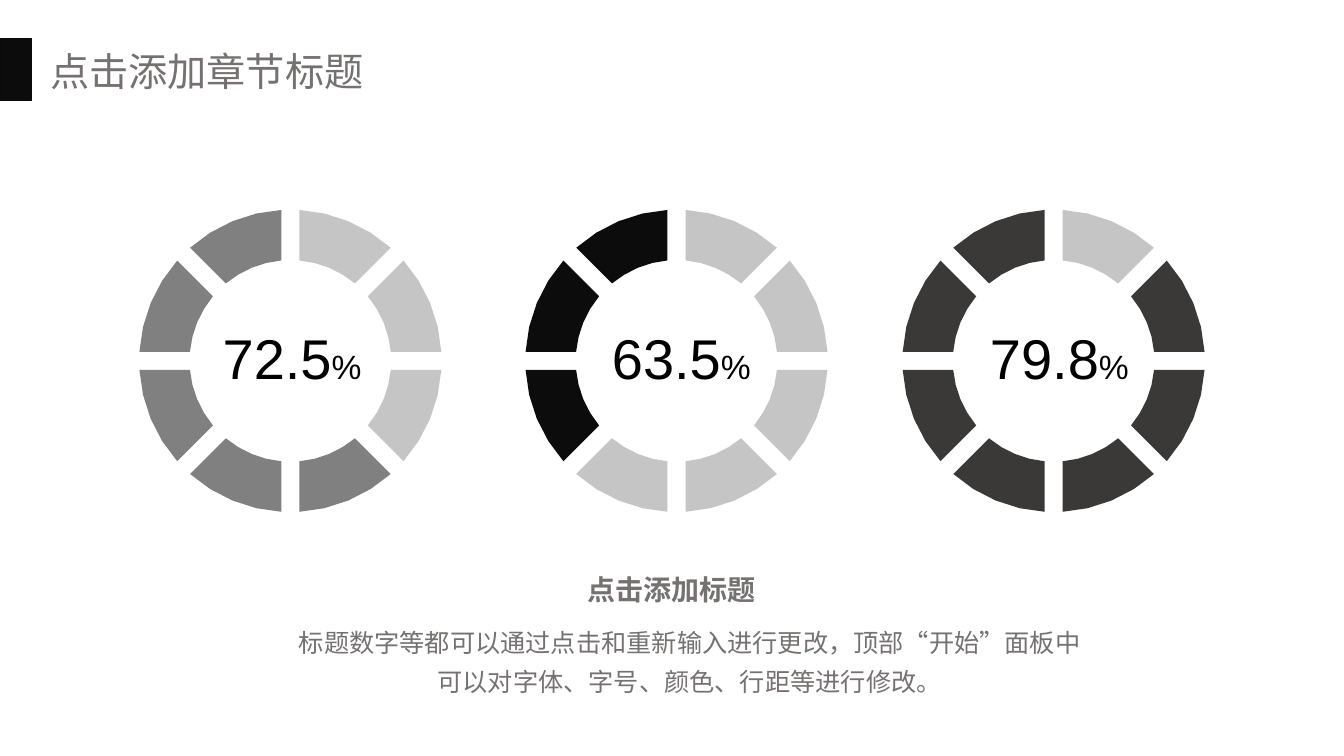
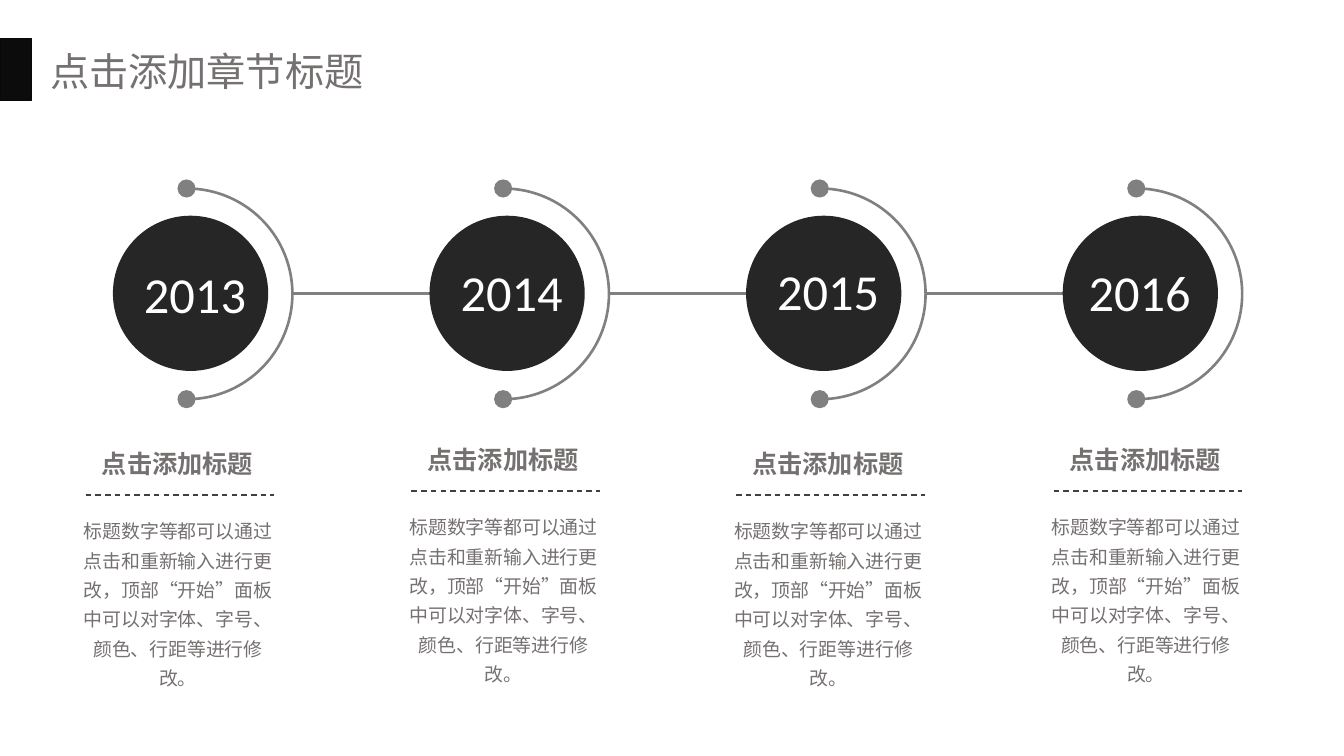
"""Builds two slides: three segmented rings and a four-year timeline."""
from math import asin, cos, pi, sin

from pptx import Presentation
from pptx.dml.color import RGBColor
from pptx.enum.dml import MSO_LINE
from pptx.enum.shapes import MSO_CONNECTOR, MSO_SHAPE
from pptx.enum.text import MSO_AUTO_SIZE, PP_ALIGN
from pptx.oxml.ns import qn
from pptx.util import Pt
from lxml.etree import SubElement

PX = 9144
BLACK = RGBColor(0, 0, 0)
WHITE = RGBColor(0xFF, 0xFF, 0xFF)
INK = RGBColor(0x0C, 0x0C, 0x0C)
EDGE = RGBColor(0x09, 0x09, 0x09)
TEXT = RGBColor(0x76, 0x71, 0x71)
GRAY = RGBColor(0x80, 0x80, 0x80)
LIGHT = RGBColor(0xC4, 0xC5, 0xC4)
DARK = RGBColor(0x3B, 0x38, 0x38)
DISC = RGBColor(0x26, 0x26, 0x26)
DASH = RGBColor(0x40, 0x40, 0x40)
HAN = "Noto Sans CJK SC"
HEAD = "点击添加标题"
BODY = "标题数字等都可以通过点击和重新输入进行更改，顶部“开始”面板中可以对字体、字号、颜色、行距等进行修改。"


def paint(shape, fill):
    """Gives a shape a plain fill with no outline or shadow."""
    shape.shadow.inherit = False
    shape.fill.solid()
    shape.fill.fore_color.rgb = fill
    shape.line.fill.background()
    return shape


def write(slide, box, runs, font, color, align=PP_ALIGN.LEFT, bold=False, wrap=False, space=1.0):
    """Adds a one-paragraph text box; runs are pairs of text and size."""
    frame = slide.shapes.add_textbox(*[v * PX for v in box]).text_frame
    frame.word_wrap = wrap
    frame.auto_size = MSO_AUTO_SIZE.SHAPE_TO_FIT_TEXT
    para = frame.paragraphs[0]
    para.alignment = align
    para.line_spacing = space
    para._p.get_or_add_pPr().set("hangingPunct", "0")
    for text, size in runs:
        run = para.add_run()
        run.text = text
        run.font.size = Pt(size)
        run.font.bold = bold
        run.font.color.rgb = color
        run.font.name = font
        SubElement(run._r.get_or_add_rPr(), qn("a:ea")).set("typeface", HAN)


deck = Presentation()
deck.slide_width = 1333 * PX
deck.slide_height = 750 * PX
rings, years = [deck.slides.add_slide(deck.slide_layouts[6]) for _ in range(2)]

for slide in (rings, years):
    bar = slide.shapes.add_shape(MSO_SHAPE.RECTANGLE, 0, 38 * PX, 31 * PX, 62 * PX)
    paint(bar, INK)
    bar.line.color.rgb = EDGE
    bar.line.width = Pt(1)
    write(slide, (40, 42, 334, 57), [("点击添加章节标题", 28)], HAN, TEXT)

MID, OUTER, INNER, GAP, STEPS = 358, 150, 100, 9, 4
for mid, left, value, pale, color in [
    (288, 211, "72.5", 3, GRAY),
    (671, 597, "63.5", 5, INK),
    (1045, 972, "79.8", 1, DARK),
]:
    for part in range(8):
        points = []
        for radius, order in ((OUTER, range(STEPS + 1)), (INNER, range(STEPS, -1, -1))):
            trim = asin(GAP / radius)
            for step in order:
                angle = part * pi / 4 + trim + (pi / 4 - 2 * trim) * step / STEPS
                points.append(((mid + radius * sin(angle)) * PX, (MID - radius * cos(angle)) * PX))
        path = rings.shapes.build_freeform(*points[0])
        path.add_line_segments(points[1:], close=True)
        paint(path.convert_to_shape(), LIGHT if part < pale else color)
    write(rings, (left, 316, 159, 77), [(value, 40), ("%", 24)], "Arial", BLACK)

write(rings, (281, 608, 806, 85), [(BODY, 18)], HAN, TEXT, PP_ALIGN.CENTER, wrap=True, space=1.3)
write(rings, (572, 563, 188, 44), [(HEAD, 20)], "Arial", TEXT, PP_ALIGN.CENTER, bold=True)

STEP, AXIS, TOP, SPAN = 314, 291, 187, 209
REACH = SPAN // 2
for index, (label, left, top, column, head) in enumerate([
    ("2013", 133, 256, 73, 440),
    ("2014", 447, 254, 396, 436),
    ("2015", 761, 253, 718, 440),
    ("2016", 1070, 254, 1033, 436),
]):
    hub = 185 + index * STEP
    arc = years.shapes.add_shape(
        MSO_SHAPE.ARC, (hub - REACH) * PX, TOP * PX, SPAN * PX, SPAN * PX)
    arc.adjustments[1] = 54
    arc.shadow.inherit = False
    arc.fill.background()
    arc.line.color.rgb = GRAY
    arc.line.width = Pt(1.88)
    for x, y, size, color in [
        (hub, TOP, 18, GRAY),
        (hub, TOP + SPAN, 18, GRAY),
        (hub + 4, AXIS, 154, DISC),
    ]:
        paint(years.shapes.add_shape(
            MSO_SHAPE.OVAL, (x - size // 2) * PX, (y - size // 2) * PX, size * PX, size * PX), color)

    lines = [(column + 12, column + 199, head + 51, DASH, 1, MSO_LINE.DASH)]
    if index < 3:
        lines.append((hub + REACH, hub + STEP - 73, AXIS, GRAY, 1.88, MSO_LINE.SOLID))
    for start, end, y, color, width, dash in lines:
        line = years.shapes.add_connector(
            MSO_CONNECTOR.STRAIGHT, start * PX, y * PX, end * PX, y * PX)
        line.line.color.rgb = color
        line.line.width = Pt(width)
        line.line.dash_style = dash
        SubElement(line._element.spPr, qn("a:effectLst"))

    write(years, (left, top, 123, 71), [(label, 36)], "Calibri", WHITE)
    write(years, (column + 17, head, 172, 40), [(HEAD, 18)], "Arial", TEXT, PP_ALIGN.CENTER, bold=True)
    write(years, (column, head + 64, 207, 187), [(BODY, 13.5)], "Calibri", TEXT,
          PP_ALIGN.CENTER, wrap=True, space=1.3)

deck.save("out.pptx")
